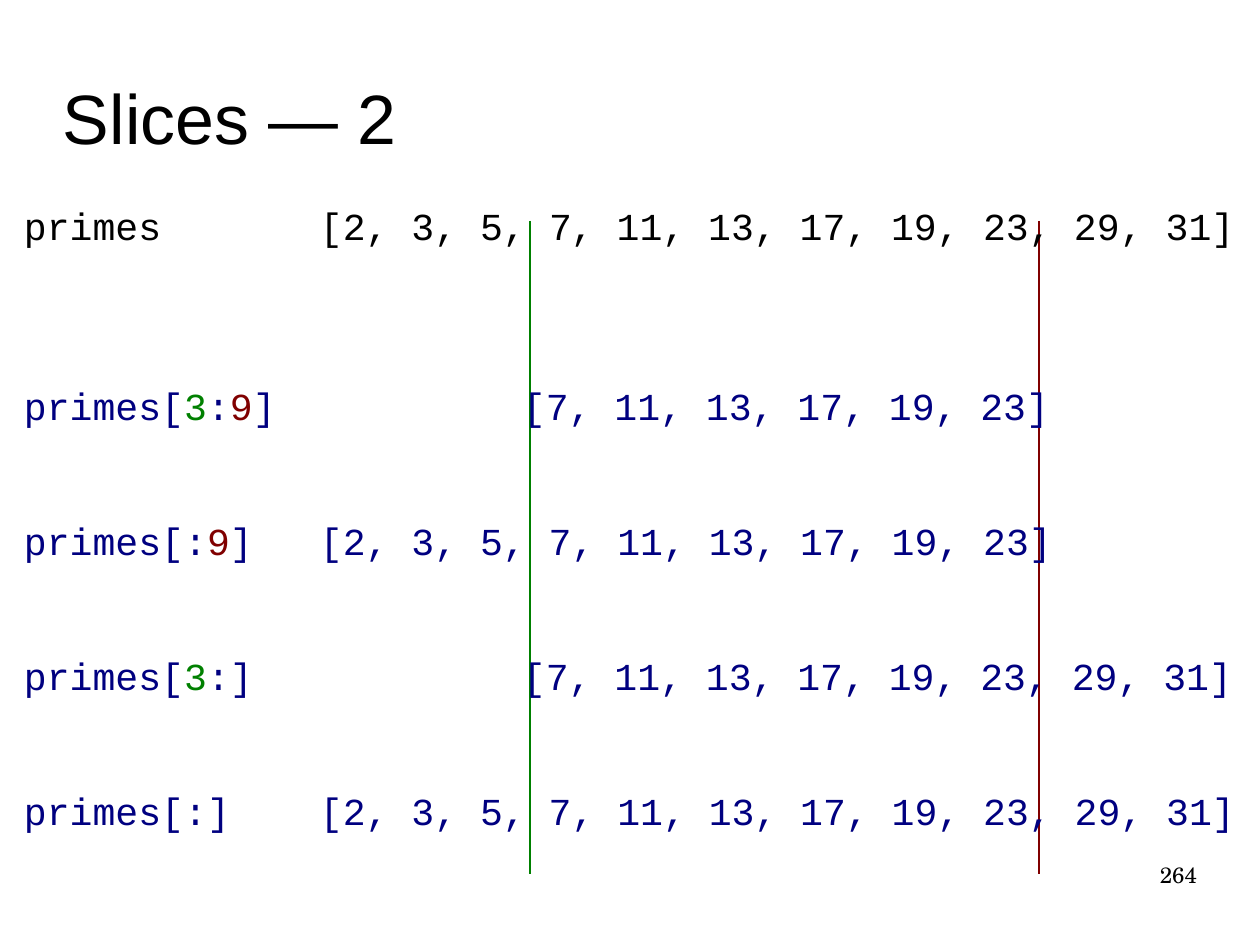
from lxml import etree
from pptx import Presentation
from pptx.dml.color import RGBColor
from pptx.enum.shapes import MSO_CONNECTOR
from pptx.enum.text import MSO_ANCHOR, MSO_AUTO_SIZE, PP_ALIGN
from pptx.oxml.ns import qn
from pptx.util import Pt

PX = 8000  # EMU per px, slide of 1260 by 945 px
BLACK = RGBColor(0x00, 0x00, 0x00)
NAVY = RGBColor(0x00, 0x00, 0x80)
GREEN = RGBColor(0x00, 0x80, 0x00)
MAROON = RGBColor(0x80, 0x00, 0x00)
STRAIGHT = MSO_CONNECTOR.STRAIGHT
MIDDLE = MSO_ANCHOR.MIDDLE
FIT_SHAPE = MSO_AUTO_SIZE.SHAPE_TO_FIT_TEXT
LEFT, RIGHT = PP_ALIGN.LEFT, PP_ALIGN.RIGHT

CHAR_WIDTH = 22.86  # one 24 pt monospaced character
INSET = 4
EXPRESSION_LEFT = 20
LIST_LEFT = 316
SLICE_LEFT = 519
LIST_TOP = 198
SLICE_TOP = 378
ROW_STEP = 135


def write_text(shape, text, font_name, size, color, inset=0, align=LEFT):
    frame = shape.text_frame
    frame.margin_left = frame.margin_top = frame.margin_bottom = inset * PX
    frame.margin_right = 0
    paragraph = frame.paragraphs[0]
    paragraph.text = text
    paragraph.alignment = align
    paragraph.font.name = font_name
    paragraph.font.size = Pt(size)
    paragraph.font.color.rgb = color
    return frame


def add_code(left, column, top, text, color):
    x = round(left + column * CHAR_WIDTH)
    width = round(len(text) * CHAR_WIDTH) + 2 * INSET + 1
    box = slide.shapes.add_textbox(x * PX, top * PX, width * PX, 53 * PX)
    frame = write_text(box, text, "Courier New", 24, color, INSET)
    frame.word_wrap = False
    frame.auto_size = FIT_SHAPE


presentation = Presentation()
presentation.slide_width = 1260 * PX
presentation.slide_height = 945 * PX
slide = presentation.slides.add_slide(presentation.slide_layouts[5])

# Page number
page_number = slide.shapes.add_textbox(903 * PX, 861 * PX, 294 * PX, 65 * PX)
frame = write_text(page_number, "264", "TeX Gyre Schola", 14, BLACK, align=RIGHT)
frame.word_wrap = True

# Slice boundaries
for x, color in [(530, GREEN), (1039, MAROON)]:
    boundary = slide.shapes.add_connector(STRAIGHT, x * PX, 221 * PX, x * PX, 874 * PX)
    boundary.line.color.rgb = color
    boundary.line.width = Pt(1.42)
    etree.SubElement(boundary._element.spPr, qn("a:effectLst"))

# Title
title = slide.shapes.title
title.left, title.top = 63 * PX, 38 * PX
title.width, title.height = 1134 * PX, 158 * PX
frame = write_text(title, "Slices ― 2", "Arial", 44, BLACK)
frame.vertical_anchor = MIDDLE
frame.word_wrap = True

# Full list, each piece at its character column
add_code(EXPRESSION_LEFT, 0, LIST_TOP, "primes", BLACK)
prime_pieces = [
    (0, "[2, 3, 5,"),
    (10, "7"),
    (11, ", 11, 13, 17, 19,"),
    (29, "23,"),
    (33, "29"),
    (35, ", 31]"),
]
for column, text in prime_pieces:
    add_code(LIST_LEFT, column, LIST_TOP, text, BLACK)

# Slice expressions and their results
slices = [
    ("3", "9", SLICE_LEFT, "[7, 11, 13, 17, 19, 23]"),
    ("", "9", LIST_LEFT, "[2, 3, 5, 7, 11, 13, 17, 19, 23]"),
    ("3", "", SLICE_LEFT, "[7, 11, 13, 17, 19, 23, 29, 31]"),
    ("", "", LIST_LEFT, "[2, 3, 5, 7, 11, 13, 17, 19, 23, 29, 31]"),
]
for row, (start, stop, result_left, result) in enumerate(slices):
    top = SLICE_TOP + row * ROW_STEP
    pieces = [("primes[", NAVY), (start, GREEN), (":", NAVY), (stop, MAROON), ("]", NAVY)]
    column = 0
    for text, color in pieces:
        if text:
            add_code(EXPRESSION_LEFT, column, top, text, color)
            column += len(text)
    add_code(result_left, 0, top, result, NAVY)

presentation.save("out.pptx")
